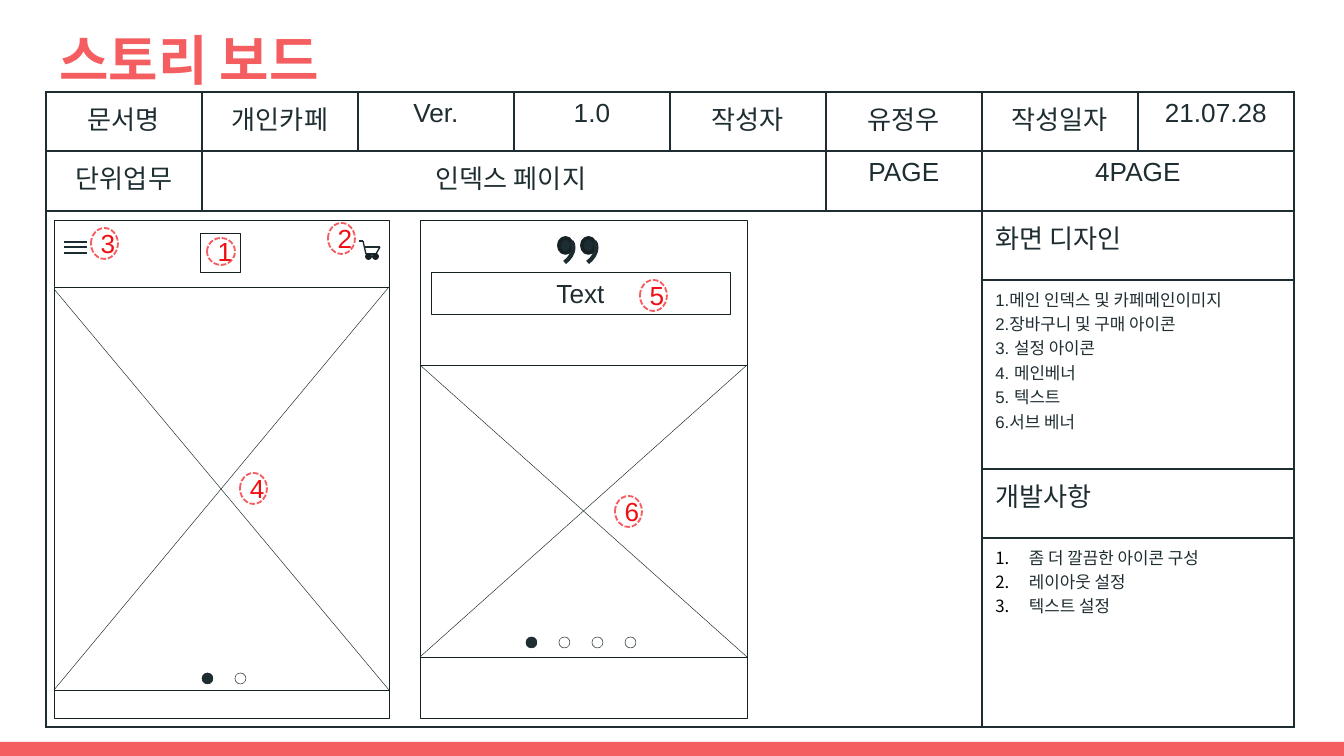
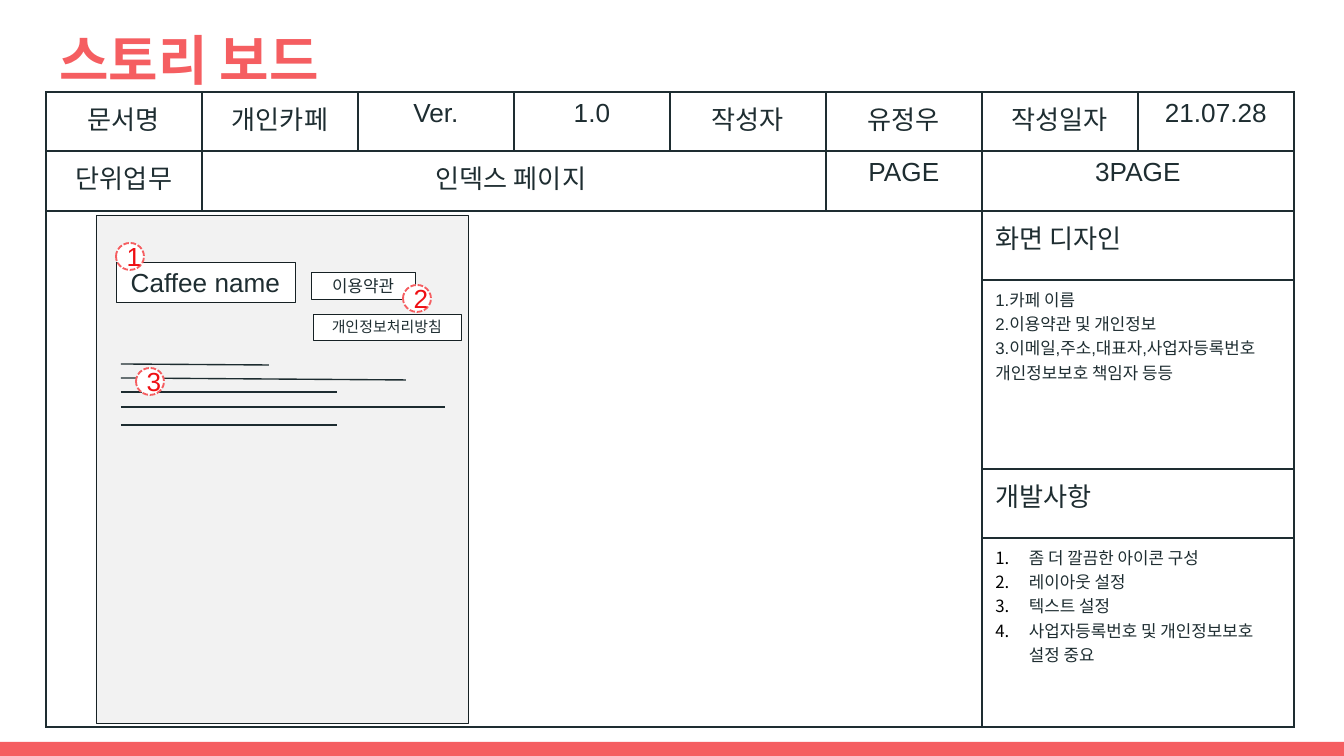
import pptx
import pptx.util
import pptx.dml.color
import pptx.enum.dml
import pptx.enum.shapes
import pptx.enum.text
import pptx.oxml
import pptx.oxml.ns
import lxml.etree

RGB = pptx.dml.color.RGBColor
CORAL = RGB(0xF5, 0x5E, 0x61)
RED = RGB(0xEF, 0x0F, 0x13)
INK = RGB(0x1E, 0x2D, 0x31)
EDGE = RGB(0x16, 0x21, 0x24)
STROKE = RGB(0x1D, 0x2C, 0x30)
GREY = RGB(0xF2, 0xF2, 0xF2)
WHITE = RGB(0xFF, 0xFF, 0xFF)

PX = 914400 / 134.4
FONT = "Arial"
SHAPE = pptx.enum.shapes.MSO_SHAPE
RECT, OVAL, ARC = SHAPE.RECTANGLE, SHAPE.OVAL, SHAPE.ARC
LINE = "line"
ALIGN = pptx.enum.text.PP_ALIGN
MIDDLE = pptx.enum.text.MSO_ANCHOR.MIDDLE
NS = pptx.oxml.ns.nsdecls("a")
QN = pptx.oxml.ns.qn


def write(frame, text, size=14, color=INK, bold=False, align=ALIGN.CENTER, numbered=False):
    """Fill a text frame, one paragraph per line of text."""
    for i, line in enumerate(text.split("\n")):
        para = frame.paragraphs[0] if i == 0 else frame.add_paragraph()
        para.alignment = align
        if numbered:
            props = para._p.get_or_add_pPr()
            props.set("marL", "228600")
            props.set("indent", "-228600")
            for xml in (
                f'<a:buClr {NS}><a:srgbClr val="000000"/></a:buClr>',
                f'<a:buAutoNum {NS} type="arabicPeriod"/>',
            ):
                props.append(pptx.oxml.parse_xml(xml))
        run = para.add_run()
        run.text = line
        run.font.name = FONT
        run.font.size = pptx.util.Pt(size)
        run.font.bold = bold
        run.font.color.rgb = color


def draw(slide, kind, a, b, c, d, fill=None, edge=EDGE, weight=0.25):
    """Draw a shape (left, top, width, height) or a LINE (x1, y1, x2, y2), in px."""
    a, b, c, d = (round(v * PX) for v in (a, b, c, d))
    if kind == LINE:
        straight = pptx.enum.shapes.MSO_CONNECTOR.STRAIGHT
        item = slide.shapes.add_connector(straight, a, b, c, d)
        lxml.etree.SubElement(item._element.spPr, QN("a:effectLst"))
    else:
        item = slide.shapes.add_shape(kind, a, b, c, d)
        item.shadow.inherit = False
        if fill is None:
            item.fill.background()
        else:
            item.fill.solid()
            item.fill.fore_color.rgb = fill
    if edge is None:
        item.line.fill.background()
    else:
        item.line.color.rgb = edge
        item.line.width = pptx.util.Pt(weight)
    return item


deck = pptx.Presentation()
deck.slide_width = round(1344 * PX)
deck.slide_height = round(756 * PX)

# Wording that differs from slide to slide
DESIGN = [
    "1.메인 인덱스 및 카페메인이미지\n2.장바구니 및 구매 아이콘\n3. 설정 아이콘\n"
    "4. 메인베너\n5. 텍스트\n6.서브 베너",
    "1.카페 이름\n2.이용약관 및 개인정보\n3.이메일,주소,대표자,사업자등록번호\n"
    "개인정보보호 책임자 등등",
]
TASKS = "좀 더 깔끔한 아이콘 구성\n레이아웃 설정\n텍스트 설정"
NOTES = [TASKS, TASKS + "\n사업자등록번호 및 개인정보보호 설정 중요"]
PAGES = ["4PAGE", "3PAGE"]

HEAD = ["문서명", "개인카페", "Ver.", "1.0", "작성자", "유정우", "작성일자", "21.07.28"]
ROWS = [59, 60, 69, 189, 69, 189]
COL = 156
MERGES = [(1, 1, 1, 4), (1, 6, 1, 7), (2, 0, 5, 5)] + [(r, 6, r, 7) for r in range(2, 6)]

# Frame shared by both slides: band, title and form table
slides = []
for page, design, note in zip(PAGES, DESIGN, NOTES):
    slide = deck.slides.add_slide(deck.slide_layouts[6])
    slides.append(slide)
    draw(slide, RECT, 0, 742, 1344, 14, fill=CORAL, edge=None)

    title = slide.shapes.add_textbox(*(round(v * PX) for v in (46, 13, 1252, 92))).text_frame
    title.word_wrap = True
    title.vertical_anchor = MIDDLE
    title.margin_top = title.margin_bottom = pptx.util.Inches(0.1)
    write(title, "스토리 보드", size=28.8, color=CORAL, bold=True, align=ALIGN.LEFT)

    place = (round(v * PX) for v in (46, 92, COL * len(HEAD), sum(ROWS)))
    table = slide.shapes.add_table(len(ROWS), len(HEAD), *place).table
    table.first_row = table.horz_banding = False
    for col in table.columns:
        col.width = round(COL * PX)
    for row, height in zip(table.rows, ROWS):
        row.height = round(height * PX)
    for cell in table.iter_cells():
        props = cell._tc.get_or_add_tcPr()
        for side in ("lnL", "lnR", "lnT", "lnB"):
            props.append(pptx.oxml.parse_xml(
                f'<a:{side} {NS} w="12700"><a:solidFill><a:srgbClr val="{INK}"/>'
                f'</a:solidFill></a:{side}>'))
        cell.fill.solid()
        cell.fill.fore_color.rgb = WHITE
    for top, left, bottom, right in MERGES:
        table.cell(top, left).merge(table.cell(bottom, right))

    for i, text in enumerate(HEAD):
        write(table.cell(0, i).text_frame, text)
    for i, text in [(0, "단위업무"), (1, "인덱스 페이지 "), (5, "PAGE"), (6, page)]:
        write(table.cell(1, i).text_frame, text)
    for i, text in [(2, "화면 디자인"), (4, "개발사항")]:
        write(table.cell(i, 6).text_frame, text, align=ALIGN.LEFT)
    write(table.cell(3, 6).text_frame, design, size=9, align=ALIGN.LEFT)
    write(table.cell(5, 6).text_frame, note, size=9, align=ALIGN.LEFT, numbered=True)

index, footer = slides

# Index page: first screen with menu, cart and main banner
draw(index, RECT, 54, 220, 335, 498)
draw(index, RECT, 200, 233, 40, 39, fill=WHITE)
for y in (242, 247, 253):
    draw(index, LINE, 64, y, 87, y, edge=STROKE, weight=0.75)
draw(index, RECT, 54, 287, 335, 403, fill=WHITE)
draw(index, LINE, 389, 287, 54, 690, edge=STROKE)
draw(index, LINE, 54, 289, 389, 690, edge=STROKE)
for i in range(2):
    draw(index, OVAL, 202 + 33 * i, 673, 11, 11, fill=WHITE if i else INK)

CART = [(359, 241), (363, 241), (366, 254), (376, 254), (380, 247), (364, 247)]
for start, end in zip(CART, CART[1:]):
    draw(index, LINE, *start, *end, edge=STROKE, weight=0.75)
for x in (367, 374):
    draw(index, OVAL, x, 255, 3, 3, fill=INK, weight=2)

# Index page: second screen with quote, text and sub banner
draw(index, RECT, 420, 220, 327, 498)
for x in (559, 582):
    draw(index, OVAL, x, 238, 13, 15, fill=INK, weight=2)
    tail = draw(index, ARC, x - 15, 234, 26, 36, edge=STROKE, weight=2.25)
    tail.rotation = 54.1
quote = draw(index, RECT, 431, 272, 299, 42, fill=WHITE)
write(quote.text_frame, "Text")
draw(index, RECT, 420, 365, 327, 292, fill=WHITE)
draw(index, LINE, 420, 365, 747, 657, edge=STROKE)
draw(index, LINE, 747, 365, 420, 657, edge=STROKE)
for i in range(4):
    draw(index, OVAL, 526 + 33 * i, 637, 11, 11, fill=WHITE if i else INK)

# Footer page: grey panel with labels and text lines
draw(footer, RECT, 96, 215, 372, 508, fill=GREY)
LABELS = [
    ("Caffee name", 14, (116, 262, 179, 40)),
    ("이용약관", 9, (311, 272, 104, 27)),
    ("개인정보처리방침", 8, (313, 314, 148, 26)),
]
for text, size, box in LABELS:
    write(draw(footer, RECT, *box, fill=WHITE).text_frame, text, size=size)
for y, right, end in [(364, 269, 365), (378, 406, 380), (392, 337, 392),
                      (407, 445, 407), (425, 337, 425)]:
    draw(footer, LINE, 121, y, right, end, edge=STROKE, weight=0.75)

# Numbered markers, on top of everything
WIDE, TALL = (28, 27), (27, 31)
MARKS = [
    (index, "1", (207, 238), WIDE),
    (index, "2", (328, 223), TALL),
    (index, "3", (91, 228), TALL),
    (index, "4", (240, 473), TALL),
    (index, "5", (640, 280), TALL),
    (index, "6", (615, 496), TALL),
    (footer, "3", (136, 368), WIDE),
    (footer, "1", (116, 243), WIDE),
    (footer, "2", (403, 285), WIDE),
]
for slide, text, spot, size in MARKS:
    mark = draw(slide, OVAL, *spot, *size, fill=WHITE, edge=CORAL, weight=1)
    mark.line.dash_style = pptx.enum.dml.MSO_LINE.SQUARE_DOT
    write(mark.text_frame, text, color=RED)

deck.save("out.pptx")
